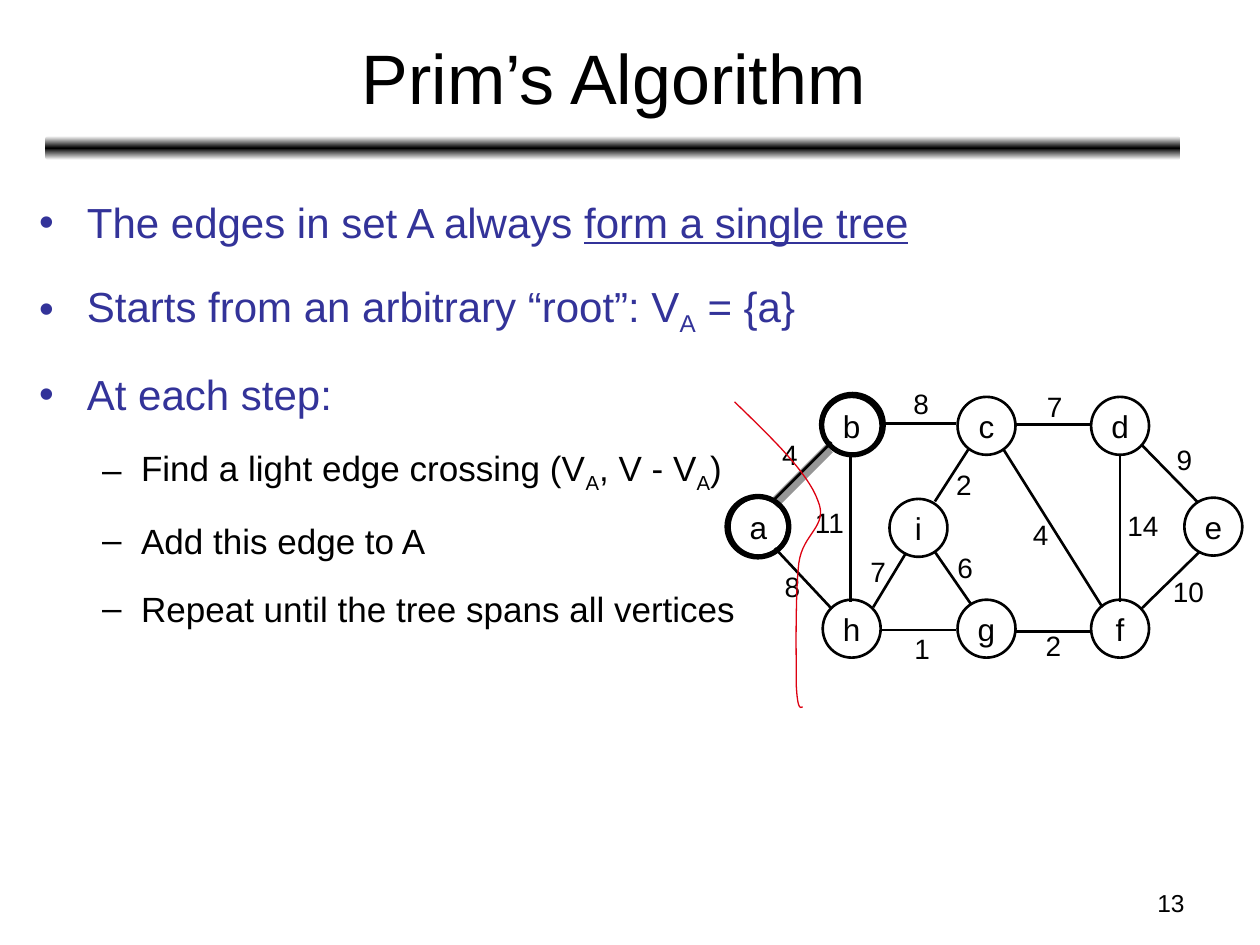
import copy
from typing import NamedTuple

import pptx
import pptx.dml.color
import pptx.enum.shapes
import pptx.enum.text
import pptx.oxml
import pptx.oxml.ns
import pptx.util

RGB = pptx.dml.color.RGBColor
BLACK = RGB(0x00, 0x00, 0x00)
WHITE = RGB(0xFF, 0xFF, 0xFF)
BLUE = RGB(0x33, 0x33, 0x99)
GREY = RGB(0x96, 0x96, 0x96)
RED = RGB(0xDD, 0x01, 0x11)

PX = 9144  # EMU in one px, at 100 px to the inch
Pt = pptx.util.Pt
Shape = pptx.enum.shapes.MSO_SHAPE
Align = pptx.enum.text.PP_ALIGN
Anchor = pptx.enum.text.MSO_ANCHOR
Fit = pptx.enum.text.MSO_AUTO_SIZE
qn = pptx.oxml.ns.qn


class Node(NamedTuple):
    name: str
    left: int
    top: int


class Edge(NamedTuple):
    x1: int
    y1: int
    x2: int
    y2: int


class Weight(NamedTuple):
    text: str
    left: int
    top: int


class Level(NamedTuple):
    depth: int
    mark: str
    color: RGB
    size: int
    gap: int
    left: int
    hang: int


class Item(NamedTuple):
    level: Level
    runs: tuple  # (text, style), style is "", "line" or "sub"


MAIN = Level(0, "•", BLUE, 24, 6, 38, 38)
STEP = Level(1, "–", BLACK, 20, 5, 81, 31)
SUB = ("A", "sub")
ITEMS = [
    Item(MAIN, (("The edges in set A always ", ""), ("form a single tree", "line"))),
    Item(MAIN, (("Starts from an arbitrary “root”: V", ""), SUB, (" = {a}", ""))),
    Item(MAIN, (("At each step:", ""),)),
    Item(STEP, (("Find a light edge crossing (V", ""), SUB, (", V - V", ""), SUB, (")", ""))),
    Item(STEP, (("Add this edge to A", ""),)),
    Item(STEP, (("Repeat until the tree spans all vertices", ""),)),
]

SIDE = 46
COLS, HIGH, LOW = (653, 760, 866), 315, 476
NODES = [
    Node("a", 579, 395), Node("e", 940, 395), Node("i", 706, 396),
    *(Node(name, x, HIGH) for name, x in zip("bcd", COLS)),
    *(Node(name, x, LOW) for name, x in zip("hgf", COLS)),
]
RINGS = [(652, 313), (577, 394)]
EDGES = [
    Edge(675, 361, 675, 478), Edge(889, 361, 889, 478),
    Edge(699, 336, 759, 336), Edge(805, 337, 865, 337),
    Edge(699, 500, 759, 500), Edge(806, 501, 867, 501),
    Edge(615, 396, 660, 351), Edge(906, 483, 952, 438),
    Edge(906, 353, 951, 399), Edge(615, 435, 659, 482),
    Edge(796, 356, 875, 482), Edge(742, 438, 771, 480),
    Edge(693, 482, 719, 439), Edge(742, 398, 769, 356),
]
LIGHT = Edge(614, 400, 658, 356)
WEIGHTS = [
    Weight("4", 611, 342), Weight("8", 715, 302), Weight("7", 821, 304),
    Weight("8", 613, 447), Weight("11", 637, 396), Weight("1", 716, 496),
    Weight("2", 820, 494), Weight("7", 681, 435), Weight("2", 749, 366),
    Weight("4", 810, 406), Weight("14", 885, 399), Weight("9", 924, 346),
    Weight("10", 921, 451), Weight("6", 750, 432),
]
# Cut line: a start point, then three points for each Bezier piece
CUT = [(583, 319), (612, 347), (641, 375), (649, 397), (658, 418), (637, 423),
       (634, 447), (631, 472), (632, 525), (632, 544), (633, 563), (635, 562), (637, 561)]


def apply(thing, form: dict) -> None:
    for key, val in form.items():
        setattr(thing, key, val)


def place(shape, left: int, top: int, width: int, height: int) -> None:
    apply(shape, {"left": left * PX, "top": top * PX,
                  "width": width * PX, "height": height * PX})


def write(para, text: str, size: int, color: RGB = BLACK, style: str = "") -> None:
    run = para.add_run()
    run.text = text
    apply(run.font, {"name": "Arial", "size": Pt(size), "underline": style == "line"})
    run.font.color.rgb = color
    if style == "sub":
        run.font._element.set("baseline", "-25000")


def stroke(shape, color: RGB, width: float) -> None:
    shape.line.color.rgb = color
    shape.line.width = Pt(width)


def draw_edge(slide, edge: Edge, color: RGB = BLACK, width: float = 1.5) -> None:
    line = slide.shapes.add_connector(pptx.enum.shapes.MSO_CONNECTOR.STRAIGHT,
                                      *(n * PX for n in edge))
    stroke(line, color, width)
    line._element.spPr.append(pptx.oxml.parse_xml(
        f"<a:effectLst {pptx.oxml.ns.nsdecls('a')}/>"))


def draw_ring(slide, left: int, top: int, width: int, height: int, weight: float):
    ring = slide.shapes.add_shape(Shape.OVAL, *(n * PX for n in (left, top, width, height)))
    ring.shadow.inherit = False
    ring.fill.background()
    stroke(ring, BLACK, weight)
    return ring


def draw_node(slide, node: Node) -> None:
    frame = draw_ring(slide, node.left, node.top, SIDE, SIDE, 1.5).text_frame
    apply(frame, {"word_wrap": False, "vertical_anchor": Anchor.MIDDLE})
    para = frame.paragraphs[0]
    para.alignment = Align.CENTER
    write(para, node.name, 18)


def draw_weight(slide, weight: Weight) -> None:
    width = 20 + 13 * len(weight.text)  # side insets plus room for each digit
    box = slide.shapes.add_textbox(*(n * PX for n in (weight.left, weight.top, width, 37)))
    apply(box.text_frame, {"word_wrap": True, "auto_size": Fit.SHAPE_TO_FIT_TEXT})
    write(box.text_frame.paragraphs[0], weight.text, 16)


def draw_bar(slide) -> None:
    bar = slide.shapes.add_shape(Shape.ROUNDED_RECTANGLE,
                                 *(n * PX for n in (36, 108, 901, 19)))
    bar.shadow.inherit = False
    bar.line.fill.background()
    bar.fill.gradient()
    bar.fill.gradient_angle = 90
    for stop, color, pos in zip(bar.fill.gradient_stops, (WHITE, BLACK), (0, 0.5)):
        stop.color.rgb = color
        stop.position = pos
    stops = bar._element.spPr.find(qn("a:gradFill")).find(qn("a:gsLst"))
    last = copy.deepcopy(stops[0])
    last.set("pos", "100000")
    stops.append(last)


def draw_cut(slide, steps: int = 16) -> None:
    points = []
    for i in range(0, len(CUT) - 1, 3):
        for n in range(1, steps + 1):
            t = n / steps
            parts = ((1 - t) ** 3, 3 * t * (1 - t) ** 2, 3 * t * t * (1 - t), t ** 3)
            points.append(tuple(sum(k * p[axis] for k, p in zip(parts, CUT[i:i + 4])) * PX
                                for axis in (0, 1)))
    path = slide.shapes.build_freeform(CUT[0][0] * PX, CUT[0][1] * PX)
    path.add_line_segments(points, close=False)
    curve = path.convert_to_shape()
    curve.shadow.inherit = False
    curve.fill.background()
    stroke(curve, RED, 0.75)


def add_item(para, item: Item) -> None:
    level = item.level
    apply(para, {"level": level.depth, "line_spacing": 1.4,
                 "space_before": Pt(level.gap), "alignment": Align.LEFT})
    props = para._p.get_or_add_pPr()
    props.set("marL", str(level.left * PX))
    props.set("indent", str(-level.hang * PX))
    space = pptx.oxml.ns.nsdecls("a")
    for xml in (f'<a:buClr {space}><a:srgbClr val="{level.color}"/></a:buClr>',
                f'<a:buFont {space} typeface="Arial"/>',
                f'<a:buChar {space} char="{level.mark}"/>'):
        props.append(pptx.oxml.parse_xml(xml))
    for text, style in item.runs:
        write(para, text, level.size, level.color, style)


def main() -> None:
    deck = pptx.Presentation()
    apply(deck, {"slide_width": 1000 * PX, "slide_height": 750 * PX})
    slide = deck.slides.add_slide(deck.slide_layouts[1])
    draw_bar(slide)

    # Title
    title = slide.shapes.title
    place(title, 37, 11, 900, 99)
    apply(title.text_frame, {"vertical_anchor": Anchor.MIDDLE, "auto_size": Fit.NONE})
    head = title.text_frame.paragraphs[0]
    head.alignment = Align.CENTER
    write(head, "Prim’s Algorithm", 40)

    # Bullet list
    body = slide.placeholders[1]
    place(body, 21, 135, 897, 555)
    frame = body.text_frame
    frame.auto_size = Fit.NONE
    for i, item in enumerate(ITEMS):
        add_item(frame.add_paragraph() if i else frame.paragraphs[0], item)

    # Page number
    page = slide.shapes.add_textbox(*(n * PX for n in (717, 700, 233, 35)))
    page.text_frame.word_wrap = True
    foot = page.text_frame.paragraphs[0]
    foot.alignment = Align.RIGHT
    write(foot, "13", 14)

    # Graph: light edge, nodes, edges, weights, then the chosen nodes and the cut
    draw_edge(slide, LIGHT, GREY, 6)
    for node in NODES:
        draw_node(slide, node)
    for edge in EDGES:
        draw_edge(slide, edge)
    for weight in WEIGHTS:
        draw_weight(slide, weight)
    for left, top in RINGS:
        draw_ring(slide, left, top, 49, 48, 3)
    draw_cut(slide)
    deck.save("out.pptx")


if __name__ == "__main__":
    main()
